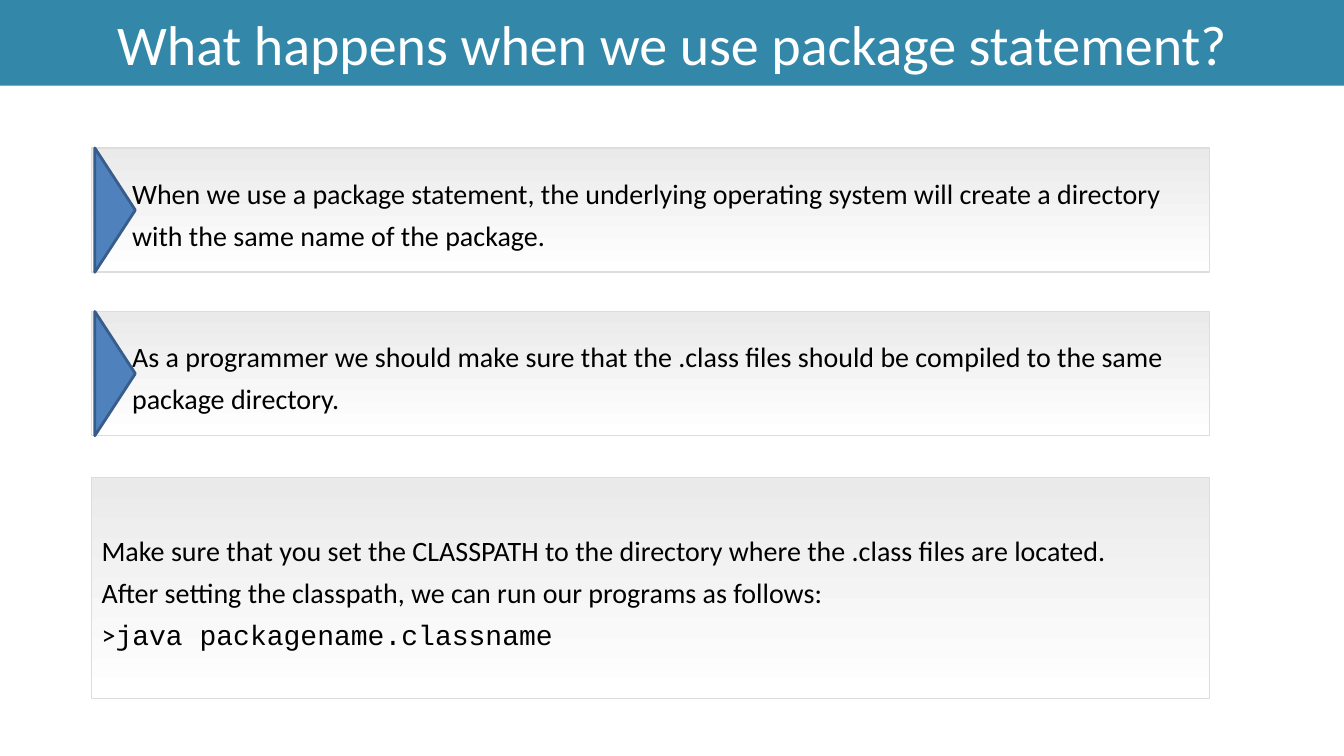
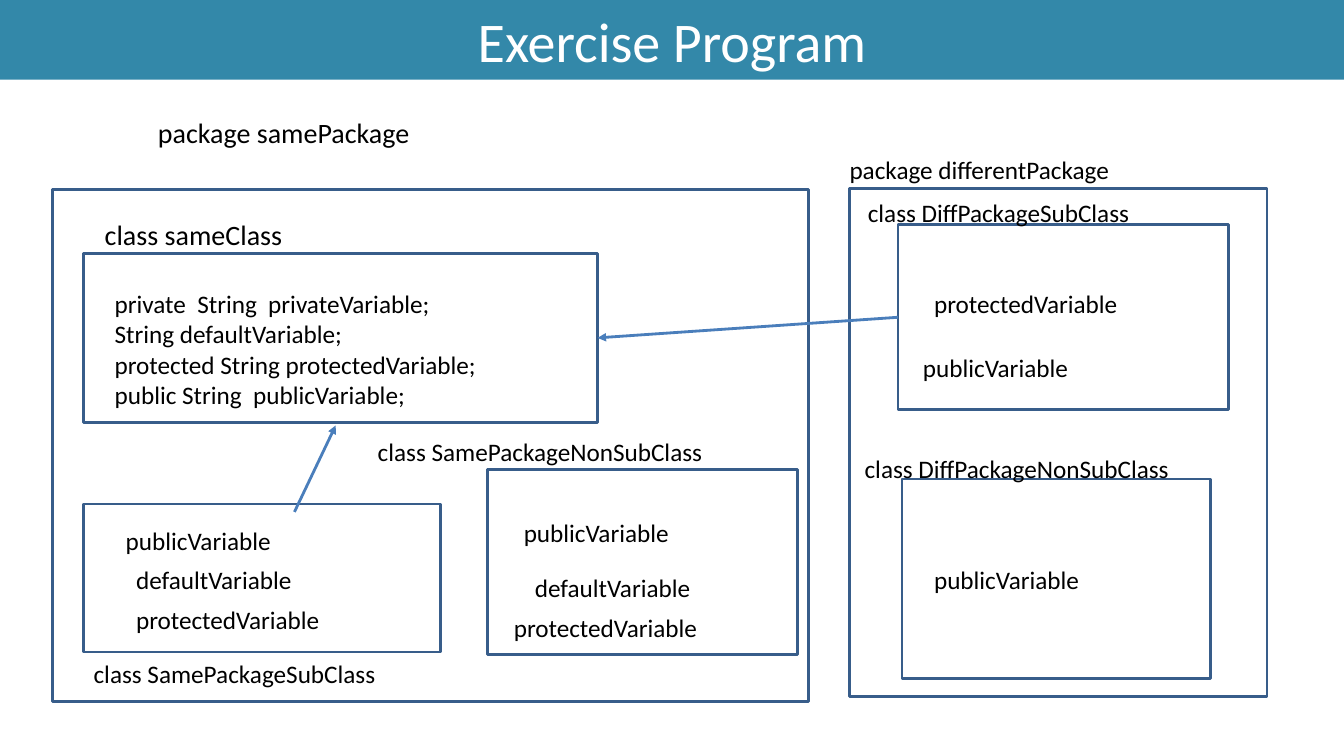
from pptx import Presentation
from pptx.dml.color import RGBColor
from pptx.enum.shapes import MSO_CONNECTOR, MSO_SHAPE
from pptx.enum.text import MSO_ANCHOR, PP_ALIGN
from pptx.oxml.ns import qn
from pptx.util import Cm, Pt
from lxml import etree

RECT, WEDGE = MSO_SHAPE.RECTANGLE, MSO_SHAPE.ISOSCELES_TRIANGLE
LINE = MSO_CONNECTOR.STRAIGHT
MIDDLE, TOP = MSO_ANCHOR.MIDDLE, MSO_ANCHOR.TOP
CENTER, LEFT = PP_ALIGN.CENTER, PP_ALIGN.LEFT
LEFT_SITE, RIGHT_SITE = 1, 3

WIDE, HIGH = 33.87, 19.05
BODY, CODE = "Calibri", "Courier New"
INK = dict(band="3388A9", white="FFFFFF", black="000000", pale="EAEAEA",
           rim="DDDDDD", wedge="4F81BD", edge="385D8A", arrow="4A7EBB")
INSET = (0.25, 0.13, 0.25, 0.13)

STEPS = {
    "title": "What happens when we use package statement?",
    "band": 2.16,
    "panels": [
        (3.73, 3.13, True, [[(
            "When we use a package statement, the underlying operating system "
            "will create a directory  with the same name of the package.", BODY)]]),
        (7.85, 3.13, True, [[(
            "As a programmer we should make sure that the .class files should "
            "be compiled to the same package directory.", BODY)]]),
        (12.04, 5.56, False, [
            [("Make sure that you set the CLASSPATH to the directory where "
              "the .class files are located. ", BODY)],
            [("After setting the classpath, we can run our programs as follows:", BODY)],
            [(">", BODY), ("java packagename.classname", CODE)]]),
    ],
}
PANEL_X, PANEL_W, WEDGE_X, WEDGE_W = 2.31, 28.17, 2.39, 1.02

EXERCISE = {
    "title": "Exercise Program",
    "band": 2.01,
    "boxes": {
        "same package": (1.32, 4.78, 19.05, 12.9),
        "other package": (21.41, 4.75, 10.52, 12.8),
        "same class": (2.11, 6.38, 12.95, 4.27),
        "other sub": (22.63, 5.66, 8.33, 4.67),
        "other non-sub": (22.73, 12.07, 7.77, 5.03),
        "same sub": (2.11, 12.7, 8.99, 3.73),
        "same non-sub": (12.29, 11.84, 7.8, 4.65),
    },
    "labels": [
        (3.73, 2.77, 11.38, 20, ["package samePackage"]),
        (21.16, 3.76, 10.92, 18, ["package differentPackage"]),
        (2.39, 5.36, 10.06, 20, ["class sameClass"]),
        (21.62, 4.85, 10.39, 18, ["class DiffPackageSubClass"]),
        (21.54, 11.3, 10.39, 18, ["class DiffPackageNonSubClass"]),
        (2.11, 16.46, 11.63, 18, ["class SamePackageSubClass"]),
        (9.27, 10.87, 12.45, 18, ["class SamePackageNonSubClass"]),
        (2.64, 7.14, 14.55, 18, [
            "private  String  privateVariable; ", "String defaultVariable;",
            "protected String protectedVariable;", "public String  publicVariable;"]),
        (12.95, 12.9, 6.55, 18, ["publicVariable"]),
        (13.23, 14.3, 6.55, 18, ["defaultVariable"]),
        (12.7, 15.29, 6.55, 18, ["protectedVariable"]),
        (2.92, 13.11, 6.55, 18, ["publicVariable"]),
        (3.18, 14.1, 6.55, 18, ["defaultVariable"]),
        (3.18, 15.09, 6.55, 18, ["protectedVariable"]),
        (23.29, 7.14, 7.42, 18, ["protectedVariable"]),
        (23.01, 8.74, 7.42, 18, ["publicVariable"]),
        (23.29, 14.1, 7.42, 18, ["publicVariable"]),
    ],
    "arrow": (7.42, 12.9, 8.46, 10.72),
}


def tint(name):
    return RGBColor.from_string(INK[name])


def shape(slide, kind, spot, fill=None, line=None, width=2):
    item = slide.shapes.add_shape(kind, *map(Cm, spot))
    item.shadow.inherit = False
    if fill:
        item.fill.solid()
        item.fill.fore_color.rgb = tint(fill)
    else:
        item.fill.background()
    if line:
        item.line.color.rgb = tint(line)
        item.line.width = Pt(width)
    else:
        item.line.fill.background()
    return item


def write(item, paras, size, color="black", align=LEFT, anchor=TOP,
          inset=INSET, space=None):
    frame = item.text_frame
    frame.word_wrap = True
    frame.vertical_anchor = anchor
    (frame.margin_left, frame.margin_top,
     frame.margin_right, frame.margin_bottom) = map(Cm, inset)
    for i, runs in enumerate(paras):
        para = frame.add_paragraph() if i else frame.paragraphs[0]
        para.alignment = align
        if space:
            para.line_spacing = Pt(space)
        for text, font in runs:
            run = para.add_run()
            run.text = text
            run.font.name = font
            run.font.size = Pt(size)
            run.font.color.rgb = tint(color)


def start(deck, data):
    slide = deck.slides.add_slide(deck.slide_layouts[6])
    band = shape(slide, RECT, (0, 0, WIDE, data["band"]), "band")
    write(band, [[(data["title"], BODY)]], 40, "white", CENTER, MIDDLE)
    return slide


def panel(slide, top, high, mark, paras):
    item = shape(slide, RECT, (PANEL_X, top, PANEL_W, high), line="rim", width=1)
    item.fill.gradient()
    item.fill.gradient_angle = 270
    for stop, name, place in zip(item.fill.gradient_stops, ("pale", "white"), (0, 1)):
        stop.color.rgb = tint(name)
        stop.position = place
    inset = (1.02, 0.25, 0.25, 0.25) if mark else (0.25, 0.25, 0, 0.25)
    write(item, paras, 20, anchor=MIDDLE, inset=inset, space=29.9)
    if mark:
        left = WEDGE_X + (WEDGE_W - high) / 2
        mid = top + (high - WEDGE_W) / 2
        wedge = shape(slide, WEDGE, (left, mid, high, WEDGE_W), "wedge", "edge")
        wedge.rotation = 90


def arrow(slide, ends):
    item = slide.shapes.add_connector(LINE, *map(Cm, ends))
    item.line.color.rgb = tint("arrow")
    item.line.width = Pt(2)
    etree.SubElement(item.line._get_or_add_ln(), qn("a:tailEnd"), type="triangle")
    etree.SubElement(item._element.spPr, qn("a:effectLst"))
    return item


deck = Presentation()
deck.slide_width, deck.slide_height = Cm(WIDE), Cm(HIGH)

slide = start(deck, STEPS)
for row in STEPS["panels"]:
    panel(slide, *row)

slide = start(deck, EXERCISE)
boxes = {name: shape(slide, RECT, spot, line="edge")
         for name, spot in EXERCISE["boxes"].items()}
link = arrow(slide, (0, 0, 1, 1))
link.begin_connect(boxes["other sub"], LEFT_SITE)
link.end_connect(boxes["same class"], RIGHT_SITE)
arrow(slide, EXERCISE["arrow"])
for left, top, width, size, lines in EXERCISE["labels"]:
    high = 0.26 + len(lines) * size * 0.043
    label = slide.shapes.add_textbox(*map(Cm, (left, top, width, high)))
    write(label, [[(text, BODY)] for text in lines], size)

deck.save("out.pptx")
